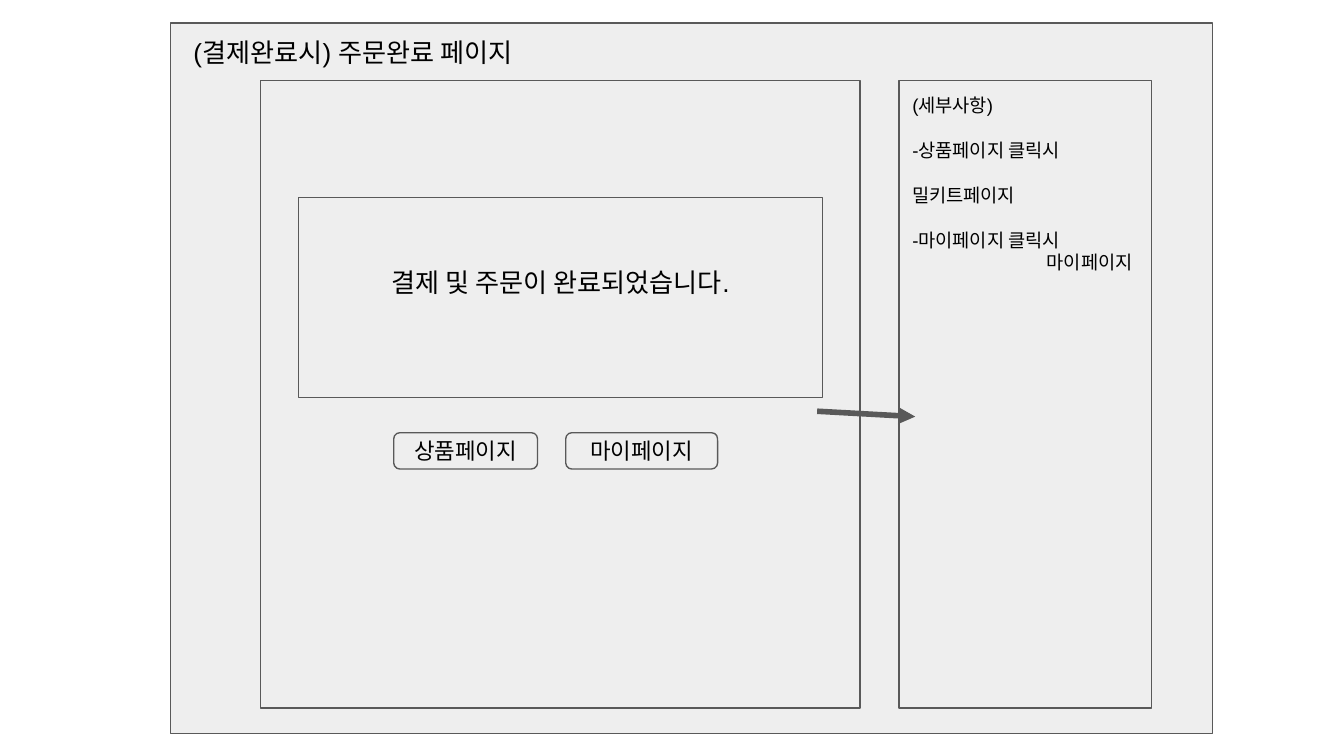
from lxml import etree
from pptx import Presentation
from pptx.dml.color import RGBColor
from pptx.enum import shapes, text
from pptx.oxml.ns import qn
from pptx.util import Inches, Pt

COLORS = {"panel": "EEEEEE", "line": "595959", "text": "000000"}
FONT = "Arial"
INSET = 0.1

TITLE = "(결제완료시) 주문완료 페이지"
MESSAGE = "결제 및 주문이 완료되었습니다."
# wording, space before in points, left indent in inches
DETAILS = [
    ("(세부사항)", 0, 0),
    ("-상품페이지 클릭시", 12, 0),
    ("밀키트페이지", 12, 0),
    ("-마이페이지 클릭시", 12, 0),
    ("마이페이지", 0, 1),
]
# label, left, width
BUTTONS = [("상품페이지", 2.93, 1.07), ("마이페이지", 4.21, 1.13)]
BUTTON_TOP, BUTTON_HEIGHT = 3.22, 0.27

PAGE = (1.27, 0.17, 7.75, 5.29)
SCREEN = (1.94, 0.6, 4.46, 4.67)
TITLE_BOX = (1.34, 0.17, 7.39, 0.44)
MESSAGE_BOX = (2.22, 1.47, 3.9, 1.49)
DETAILS_BOX = (6.69, 0.6, 1.88, 4.67)
ARROW = (6.08, 3.06, 6.81, 3.1)


def color(name):
    return RGBColor.from_string(COLORS[name])


def add_panel(slide, box, kind=shapes.MSO_SHAPE.RECTANGLE):
    shape = slide.shapes.add_shape(kind, *map(Inches, box))
    shape.shadow.inherit = False
    shape.fill.solid()
    shape.fill.fore_color.rgb = color("panel")
    shape.line.color.rgb = color("line")
    shape.line.width = Pt(0.75)
    return shape


def write(shape, paragraphs, size, align=text.PP_ALIGN.LEFT,
          anchor=text.MSO_ANCHOR.TOP, bottom=INSET):
    """Fill a shape with (wording, space before, indent) paragraphs."""
    frame = shape.text_frame
    frame_format = {
        "word_wrap": True, "vertical_anchor": anchor,
        "margin_left": Inches(INSET), "margin_right": Inches(INSET),
        "margin_top": Inches(INSET), "margin_bottom": Inches(bottom),
    }
    for name, value in frame_format.items():
        setattr(frame, name, value)
    for index, (wording, before, indent) in enumerate(paragraphs):
        paragraph = frame.add_paragraph() if index else frame.paragraphs[0]
        paragraph.alignment = align
        paragraph.space_before = Pt(before)
        if indent:
            paragraph._p.get_or_add_pPr().set("marL", str(Inches(indent)))
        run = paragraph.add_run()
        run.text = wording
        run.font.name = FONT
        run.font.size = Pt(size)
        run.font.color.rgb = color("text")


def add_arrow(slide, ends):
    arrow = slide.shapes.add_connector(
        shapes.MSO_CONNECTOR.STRAIGHT, *map(Inches, ends))
    arrow.line.color.rgb = color("line")
    arrow.line.width = Pt(3)
    etree.SubElement(arrow.line._get_or_add_ln(), qn("a:tailEnd"), type="triangle")
    etree.SubElement(arrow._element.spPr, qn("a:effectLst"))


def main():
    presentation = Presentation()
    presentation.slide_width = Inches(10)
    presentation.slide_height = Inches(10) * 9 // 16
    slide = presentation.slides.add_slide(presentation.slide_layouts[6])
    centered = {"align": text.PP_ALIGN.CENTER, "anchor": text.MSO_ANCHOR.MIDDLE}

    add_panel(slide, PAGE)
    add_panel(slide, SCREEN)
    title = slide.shapes.add_textbox(*map(Inches, TITLE_BOX))
    write(title, [(TITLE, 0, 0)], 14)
    # The deeper bottom inset lifts the message above the middle
    write(add_panel(slide, MESSAGE_BOX), [(MESSAGE, 0, 0)], 14,
          bottom=0.33, **centered)
    write(add_panel(slide, DETAILS_BOX), DETAILS, 10)
    add_arrow(slide, ARROW)
    for label, left, width in BUTTONS:
        button = add_panel(slide, (left, BUTTON_TOP, width, BUTTON_HEIGHT),
                           shapes.MSO_SHAPE.ROUNDED_RECTANGLE)
        write(button, [(label, 0, 0)], 12, **centered)

    presentation.save("out.pptx")


if __name__ == "__main__":
    main()
